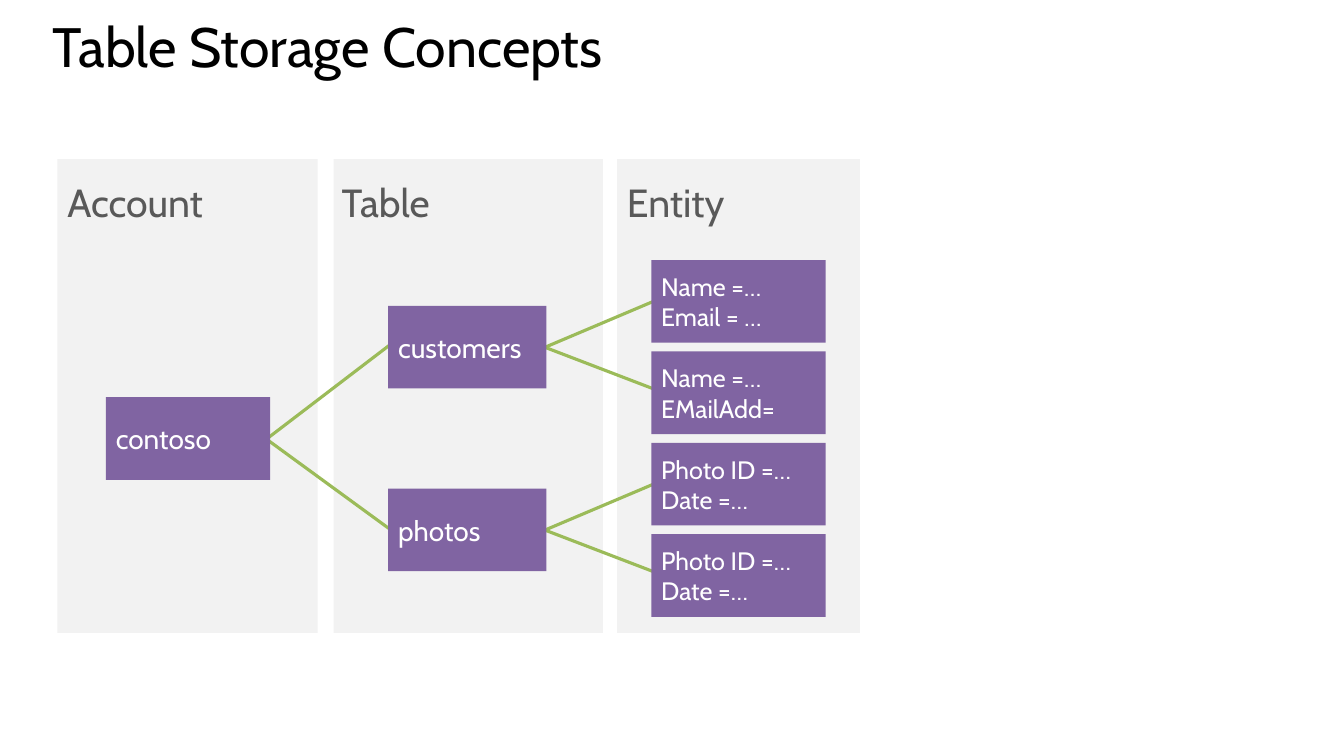
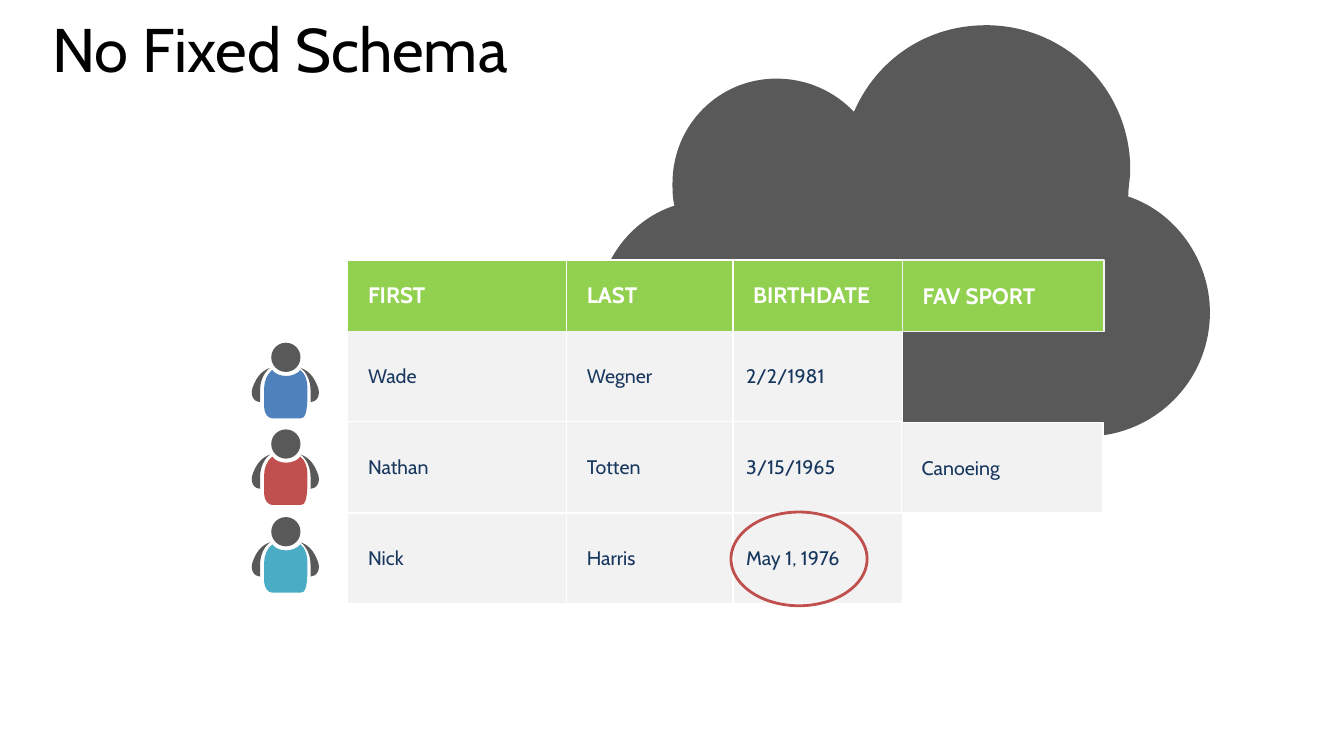
"""Build two slides on table storage: its concepts and its schema-free rows."""
from lxml.etree import SubElement
from pptx import Presentation
from pptx.dml.color import RGBColor
from pptx.enum.shapes import MSO_CONNECTOR, MSO_SHAPE
from pptx.enum.text import MSO_ANCHOR, PP_ALIGN
from pptx.oxml.ns import qn
from pptx.util import Inches, Pt

BLACK = RGBColor(0x00, 0x00, 0x00)
WHITE = RGBColor(0xFF, 0xFF, 0xFF)
PALE = RGBColor(0xF2, 0xF2, 0xF2)
GREY = RGBColor(0x59, 0x59, 0x59)
PURPLE = RGBColor(0x80, 0x64, 0xA2)
OLIVE = RGBColor(0x9B, 0xBB, 0x59)
GREEN = RGBColor(0x92, 0xD0, 0x50)
NAVY = RGBColor(0x17, 0x37, 0x5E)
BLUE = RGBColor(0x4F, 0x81, 0xBD)
RED = RGBColor(0xC0, 0x50, 0x4D)
TEAL = RGBColor(0x4B, 0xAC, 0xC6)

FONT = "Cabin"
NO_TABLE_STYLE = "{2D5ABB26-0587-4C30-8999-92F81FD0307C}"
SLIDE_WIDTH, SLIDE_HEIGHT = 13.33, 7.5
TITLE_BOX = (0.42, 0.2, 12.6, 1.16)
INSETS = (0.1, 0.05, 0.1, 0.05)

TITLE_FORMAT = {"size": 44, "color": BLACK, "spacing": 0.8}
LONG_TITLE_FORMAT = {**TITLE_FORMAT, "size": 39.6}
PANEL_FORMAT = {"size": 28, "color": GREY, "spacing": 0.9, "insets": (0.1, 0.33, 0.27, 0.27)}
NODE_FORMAT = {"size": 20, "color": WHITE, "anchor": MSO_ANCHOR.MIDDLE}
ENTITY_FORMAT = {**NODE_FORMAT, "size": 18}
HEADER_FORMAT = {"size": 16, "color": WHITE, "bold": True, "anchor": MSO_ANCHOR.MIDDLE}
BODY_FORMAT = {"size": 14, "color": NAVY, "anchor": MSO_ANCHOR.MIDDLE}

PANEL_TOP, PANEL_HEIGHT, HEADING_HEIGHT = 1.58, 4.7, 1.57
PANELS = [("Entity", 6.12, 2.41, 6.12), ("Table", 3.31, 2.67, 3.29), ("Account", 0.57, 2.58, 0.57)]
NODE_TOP, LAST_NODE_TOP, NODE_HEIGHT = 2.58, 5.3, 0.82
NODE_STEP = (LAST_NODE_TOP - NODE_TOP) / 3
LEVELS = [
    (1.05, 1.63, NODE_FORMAT, [(1.5, "contoso")]),
    (3.85, 1.57, NODE_FORMAT, [(0.5, "customers"), (2.5, "photos")]),
    (6.46, 1.73, ENTITY_FORMAT, [
        (0, "Name =…\nEmail = …"),
        (1, "Name =…\nEMailAdd="),
        (2, "Photo ID =…\nDate =…"),
        (3, "Photo ID =…\nDate =…"),
    ]),
]
ACCOUNT_LINKS = [(2.47, 4.23, 4.1, 5.42), (2.56, 4.42, 4, 3.32)]
ENTITY_LINKS = [(5.26, 3.39, 6.67, 3.93), (5.3, 3.49, 6.67, 2.91)]

TABLE_LEFT, TABLE_TOP = 1.29, 2.58
COLUMNS = [2.16, 2.17, 1.65, 1.68]
ROWS = [0.7, 0.9, 0.91, 0.9]
RECORDS = [
    ["", "FIRST", "LAST", "BIRTHDATE"],
    ["", "Wade", "Wegner", "2/2/1981"],
    ["", "Nathan", "Totten", "3/15/1965"],
    ["", "Nick", "Harris", "May 1, 1976"],
]
EXTRA_CELLS = [
    ("FAV SPORT", (8.95, 2.58, 2, 0.71), GREEN, PALE, HEADER_FORMAT),
    ("Canoeing", (8.94, 4.19, 2, 0.9), PALE, WHITE, BODY_FORMAT),
]
DATE_RING = (7.25, 5.08, 1.35, 0.93)

CLOUD = [
    [(11.19, 1.95)],
    [(11.19, 1.86), (11.21, 1.77), (11.21, 1.68)],
    [(11.21, 0.89), (10.57, 0.25), (9.78, 0.25)],
    [(9.18, 0.25), (8.69, 0.6), (8.47, 1.11)],
    [(8.28, 0.91), (8.01, 0.78), (7.7, 0.78)],
    [(7.13, 0.78), (6.67, 1.24), (6.67, 1.82)],
    [(6.67, 1.88), (6.67, 1.97), (6.69, 2.04)],
    [(6.23, 2.19), (5.92, 2.63), (5.92, 3.14)],
    [(5.92, 3.8), (6.45, 4.33), (7.11, 4.33)],
    [(10.77, 4.33)],
    [(11.45, 4.33), (12, 3.78), (12, 3.1)],
    [(12, 2.57), (11.65, 2.1), (11.19, 1.95)],
]
PERSON_LEFT, PERSON_TOPS, PERSON_WIDTH = 2.46, (3.4, 4.26, 5.13), 0.74
PERSON_COLORS = [BLUE, RED, TEAL]
HEAD_LEFT, HEAD_SIZE = 0.23, 0.29
ARM = [
    [(0.22, 0.25)],
    [(0.19, 0.26), (0.11, 0.29), (0.06, 0.41)],
    [(0, 0.53), (0.07, 0.59), (0.12, 0.59)],
    [(0.12, 0.47)],
    [(0.12, 0.38), (0.16, 0.29), (0.22, 0.25)],
]
OTHER_ARM = [[(PERSON_WIDTH - x, y) for x, y in segment] for segment in ARM]
TORSO = [
    [(0.59, 0.45)],
    [(0.59, 0.38), (0.57, 0.31), (0.52, 0.27)],
    [(0.49, 0.31), (0.43, 0.33), (0.38, 0.33)],
    [(0.32, 0.33), (0.27, 0.31), (0.24, 0.27)],
    [(0.19, 0.31), (0.16, 0.38), (0.16, 0.45)],
    [(0.16, 0.64)],
    [(0.16, 0.7), (0.2, 0.75), (0.24, 0.75)],
    [(0.52, 0.75)],
    [(0.56, 0.75), (0.59, 0.72), (0.59, 0.5)],
]


def inches(values):
    return [Inches(value) for value in values]


def write(frame, text, style):
    frame.text = text
    for paragraph in frame.paragraphs:
        paragraph.alignment = PP_ALIGN.LEFT
        paragraph.line_spacing = style.get("spacing")
        font = paragraph.runs[0].font
        values = {"name": FONT, "size": Pt(style["size"]), "bold": style.get("bold", False)}
        for name, value in values.items():
            setattr(font, name, value)
        font.color.rgb = style["color"]


def set_insets(target, insets):
    for side, value in zip(("left", "top", "right", "bottom"), insets):
        setattr(target, f"margin_{side}", Inches(value))


def fill_frame(shape, text, style):
    frame = shape.text_frame
    frame.word_wrap = True
    frame.vertical_anchor = style.get("anchor", MSO_ANCHOR.TOP)
    set_insets(frame, style.get("insets", INSETS))
    write(frame, text, style)


def paint(shape, fill=None, line=None, width=1):
    shape.shadow.inherit = False
    if fill is None:
        shape.fill.background()
    else:
        shape.fill.solid()
        shape.fill.fore_color.rgb = fill
    if line is None:
        shape.line.fill.background()
    else:
        shape.line.color.rgb = line
        shape.line.width = Pt(width)


def add_text(slide, box, text, style):
    fill_frame(slide.shapes.add_textbox(*inches(box)), text, style)


def add_box(shapes, box, fill=None, line=None, width=1, kind=MSO_SHAPE.RECTANGLE):
    shape = shapes.add_shape(kind, *inches(box))
    paint(shape, fill, line, width)
    return shape


def add_link(slide, ends):
    connector = slide.shapes.add_connector(MSO_CONNECTOR.STRAIGHT, *inches(ends))
    connector.line.color.rgb = OLIVE
    connector.line.width = Pt(2.25)
    SubElement(connector._element.spPr, qn("a:effectLst"))


def bend(shape, segments):
    lines = iter(list(shape._element.iter(qn("a:lnTo"))))
    for segment in segments[1:]:
        first, *others = [next(lines) for point in segment]
        if others:
            first.tag = qn("a:cubicBezTo")
        for line in others:
            first.append(line[0])
            line.getparent().remove(line)


def add_outline(shapes, segments, fill, left=0, top=0):
    points = [inches((left + x, top + y)) for segment in segments for x, y in segment]
    builder = shapes.build_freeform(*points[0])
    builder.add_line_segments(points[1:], close=True)
    shape = builder.convert_to_shape()
    bend(shape, segments)
    paint(shape, fill)


def add_person(slide, top, color):
    shapes = slide.shapes.add_group_shape().shapes
    for outline, fill in ((ARM, GREY), (OTHER_ARM, GREY), (TORSO, color)):
        add_outline(shapes, outline, fill, PERSON_LEFT, top)
    head = (PERSON_LEFT + HEAD_LEFT, top, HEAD_SIZE, HEAD_SIZE)
    add_box(shapes, head, GREY, kind=MSO_SHAPE.OVAL)


def add_borders(cell, sides):
    properties = cell._tc.get_or_add_tcPr()
    for side in sides:
        border = SubElement(properties, qn(f"a:ln{side}"), w=str(Pt(1)))
        SubElement(SubElement(border, qn("a:solidFill")), qn("a:srgbClr"), val=str(WHITE))


def fill_cell(cell, text, row, column):
    if not text:
        cell.fill.background()
        return
    add_borders(cell, {0: "LRT", 1: "LRB"}.get(row, "LRTB"))
    cell.fill.solid()
    cell.fill.fore_color.rgb = PALE if row else GREEN
    cell.vertical_anchor = MSO_ANCHOR.MIDDLE
    is_date = row > 0 and column == len(COLUMNS) - 1
    set_insets(cell, (0.13, 0.05, 0.13, 0.05) if is_date else (0.2, 0.1, 0.2, 0.1))
    write(cell.text_frame, text, BODY_FORMAT if row else HEADER_FORMAT)


def add_records(slide):
    box = inches((TABLE_LEFT, TABLE_TOP, sum(COLUMNS), sum(ROWS)))
    frame = slide.shapes.add_table(len(ROWS), len(COLUMNS), *box)
    table = frame.table
    table.first_row = table.horz_banding = False
    for style in frame._element.iter(qn("a:tableStyleId")):
        style.text = NO_TABLE_STYLE
    for column, width in zip(table.columns, COLUMNS):
        column.width = Inches(width)
    for index, (row, height) in enumerate(zip(table.rows, ROWS)):
        row.height = Inches(height)
        for position, text in enumerate(RECORDS[index]):
            fill_cell(table.cell(index, position), text, index, position)


def build_concepts(slide):
    add_text(slide, TITLE_BOX, "Table Storage Concepts", LONG_TITLE_FORMAT)
    for heading, left, width, text_left in PANELS:
        add_box(slide.shapes, (left, PANEL_TOP, width, PANEL_HEIGHT), PALE)
        add_text(slide, (text_left, PANEL_TOP, width, HEADING_HEIGHT), heading, PANEL_FORMAT)
    for ends in ACCOUNT_LINKS:
        add_link(slide, ends)
    for drop in (0, 2 * NODE_STEP):
        for x1, y1, x2, y2 in ENTITY_LINKS:
            add_link(slide, (x1, y1 + drop, x2, y2 + drop))
    for left, width, style, nodes in LEVELS:
        for row, text in nodes:
            box = (left, NODE_TOP + row * NODE_STEP, width, NODE_HEIGHT)
            fill_frame(add_box(slide.shapes, box, PURPLE), text, style)


def build_schema(slide):
    add_outline(slide.shapes, CLOUD, GREY)
    add_text(slide, TITLE_BOX, "No Fixed Schema", TITLE_FORMAT)
    add_records(slide)
    add_box(slide.shapes, DATE_RING, line=RED, width=2, kind=MSO_SHAPE.OVAL)
    for text, box, fill, line, style in EXTRA_CELLS:
        shape = add_box(slide.shapes, box, fill, line)
        fill_frame(shape, text, {**style, "insets": (0.2, 0.05, 0.1, 0.05)})
    for top, color in zip(PERSON_TOPS, PERSON_COLORS):
        add_person(slide, top, color)


presentation = Presentation()
presentation.slide_width = Inches(SLIDE_WIDTH)
presentation.slide_height = Inches(SLIDE_HEIGHT)
for build in (build_concepts, build_schema):
    build(presentation.slides.add_slide(presentation.slide_layouts[6]))
presentation.save("out.pptx")
